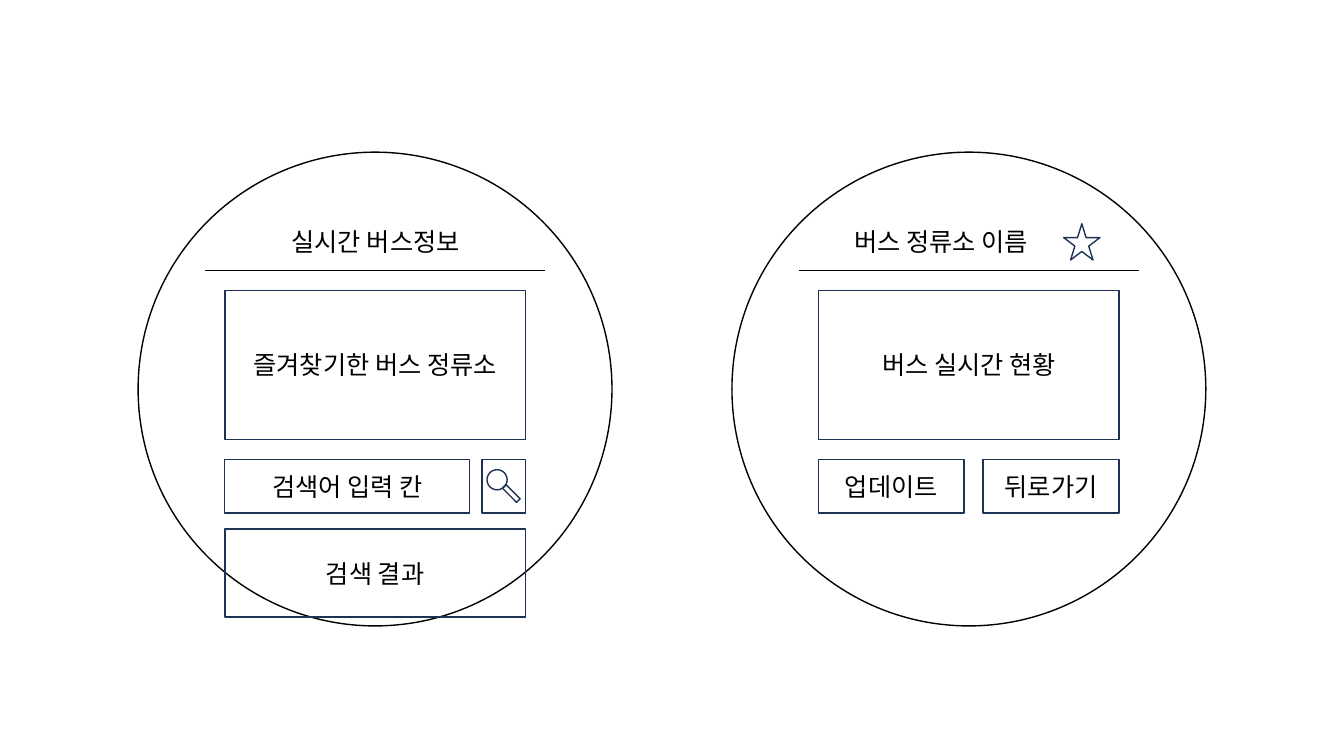
from pptx import Presentation
from pptx.dml.color import RGBColor
from pptx.enum.shapes import MSO_CONNECTOR, MSO_SHAPE
from pptx.enum.text import MSO_ANCHOR, MSO_AUTO_SIZE, PP_ALIGN
from pptx.oxml.ns import qn
from pptx.util import Inches, Pt

OVAL, RECT, STAR = MSO_SHAPE.OVAL, MSO_SHAPE.RECTANGLE, MSO_SHAPE.STAR_5_POINT
STRAIGHT = MSO_CONNECTOR.STRAIGHT
CENTER, MIDDLE, TOP = PP_ALIGN.CENTER, MSO_ANCHOR.MIDDLE, MSO_ANCHOR.TOP
FIT_TEXT = MSO_AUTO_SIZE.SHAPE_TO_FIT_TEXT

COLORS = {"black": "000000", "navy": "1E3256"}
FONT = "Noto Sans CJK KR"

# Rows shared by both watch faces: top, height (inches)
ROWS = {
    "title": (2.2, 0.4),
    "main": (2.88, 1.48),
    "controls": (4.56, 0.53),
    "results": (5.25, 0.87),
}
FACE_TOP, FACE_SIZE = 1.51, 4.7
RULE_Y, RULE_WIDTH = 2.68, 3.37
PANEL_WIDTH, TITLE_WIDTH = 2.98, 2.59
PANEL_INSET = (FACE_SIZE - PANEL_WIDTH) / 2
RULE_INSET = (FACE_SIZE - RULE_WIDTH) / 2

# Panels: row, left within the panel column, width, text
SCREENS = [
    {
        "left": 1.37, "title": "실시간 버스정보", "title_inset": 1.06,
        "panels": [
            ("main", 0, PANEL_WIDTH, "즐겨찾기한 버스 정류소"),
            ("results", 0, PANEL_WIDTH, "검색 결과"),
            ("controls", 0, 2.43, "검색어 입력 칸"),
            ("controls", 2.55, 0.43, ""),
        ],
    },
    {
        "left": 7.26, "title": "버스 정류소 이름", "title_inset": 0.78,
        "panels": [
            ("main", 0, PANEL_WIDTH, "버스 실시간 현황"),
            ("controls", 0, 1.44, "업데이트"),
            ("controls", 1.63, 1.35, "뒤로가기"),
        ],
    },
]
# Search icon: shape, left, top, width, height
MAGNIFIER = [(OVAL, 4.83, 4.66, 0.2, 0.2), (RECT, 4.97, 4.87, 0.2, 0.05)]
FAVORITE = (10.55, 2.22, 0.36, 0.36)


def write_text(shape, text, size=18, color="black", anchor=MIDDLE):
    frame = shape.text_frame
    frame.word_wrap = True
    frame.vertical_anchor = anchor
    para = frame.paragraphs[0]
    para.alignment = CENTER
    span = para.add_run()
    span.text = text
    span.font.size = Pt(size)
    span.font.name = FONT
    span.font.color.rgb = RGBColor.from_string(COLORS[color])
    # Korean text takes the East Asian typeface
    east_asian = span.font._element.makeelement(qn("a:ea"), {"typeface": FONT})
    span.font._element.append(east_asian)


def add_outline(shapes, kind, bounds, color="navy", rotation=0):
    shape = shapes.add_shape(kind, *map(Inches, bounds))
    shape.shadow.inherit = False
    shape.fill.background()
    shape.line.color.rgb = RGBColor.from_string(COLORS[color])
    shape.line.width = Pt(1)
    shape.rotation = rotation
    return shape


def add_rule(shapes, left, right, y):
    rule = shapes.add_connector(STRAIGHT, *map(Inches, (left, y, right, y)))
    rule.line.color.rgb = RGBColor.from_string(COLORS["black"])
    rule.line.width = Pt(0.5)
    properties = rule._element.spPr
    properties.append(properties.makeelement(qn("a:effectLst"), {}))


def add_screen(shapes, screen):
    left = screen["left"]
    # Round face and header
    add_outline(shapes, OVAL, (left, FACE_TOP, FACE_SIZE, FACE_SIZE), "black")
    rule_left = left + RULE_INSET
    add_rule(shapes, rule_left, rule_left + RULE_WIDTH, RULE_Y)
    top, height = ROWS["title"]
    bounds = (left + screen["title_inset"], top, TITLE_WIDTH, height)
    box = shapes.add_textbox(*map(Inches, bounds))
    write_text(box, screen["title"], anchor=TOP)
    box.text_frame.auto_size = FIT_TEXT
    # Panels and buttons
    for row, offset, width, text in screen["panels"]:
        top, height = ROWS[row]
        bounds = (left + PANEL_INSET + offset, top, width, height)
        panel = add_outline(shapes, RECT, bounds)
        if text:
            write_text(panel, text)


def main():
    deck = Presentation()
    deck.slide_width, deck.slide_height = Inches(13.33), Inches(7.5)
    page = deck.slides.add_slide(deck.slide_layouts[6])
    for screen in SCREENS:
        add_screen(page.shapes, screen)

    # Icons
    magnifier = page.shapes.add_group_shape()
    for kind, *bounds in MAGNIFIER:
        add_outline(magnifier.shapes, kind, bounds, rotation=45)
    add_outline(page.shapes, STAR, FAVORITE)
    deck.save("out.pptx")


if __name__ == "__main__":
    main()
